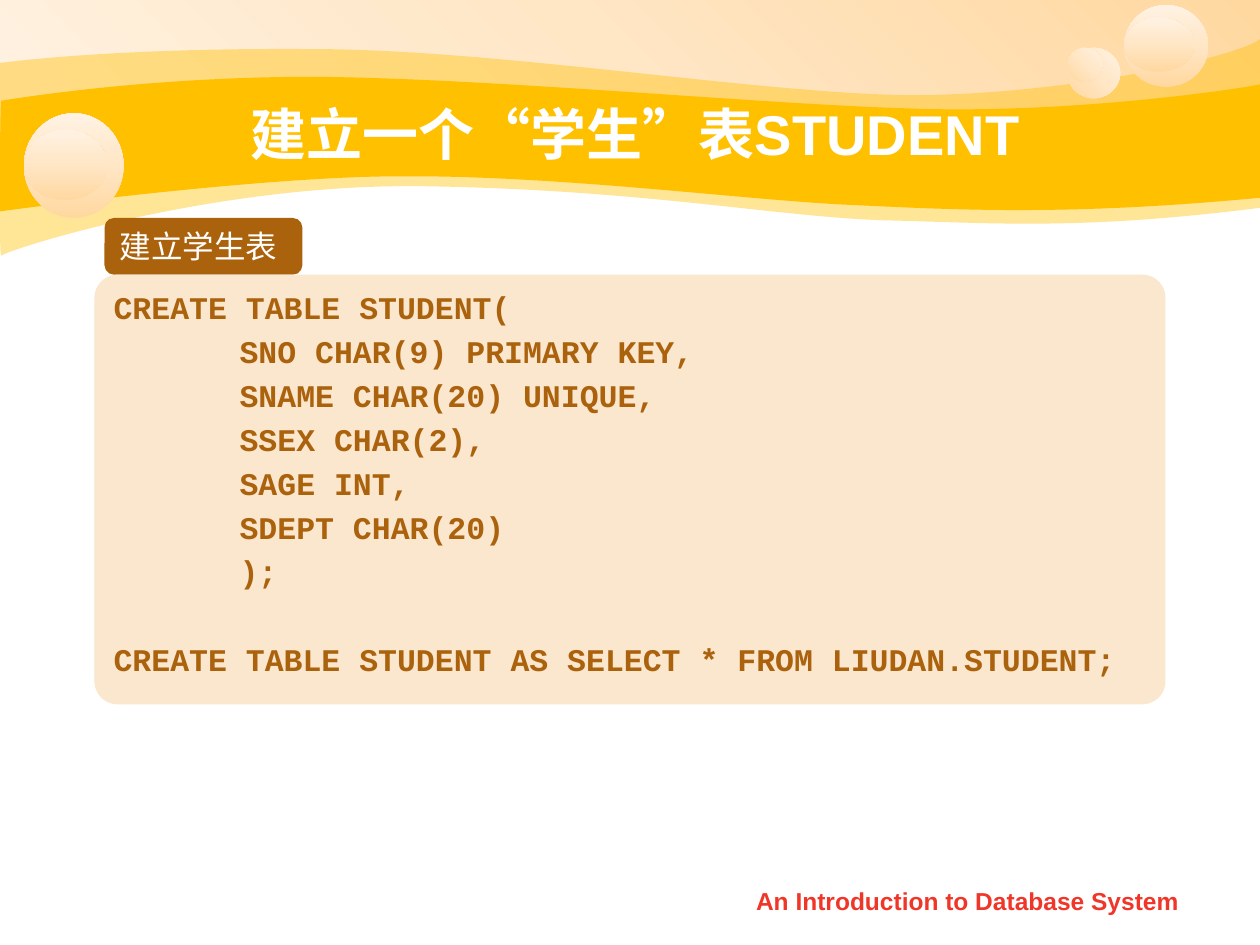
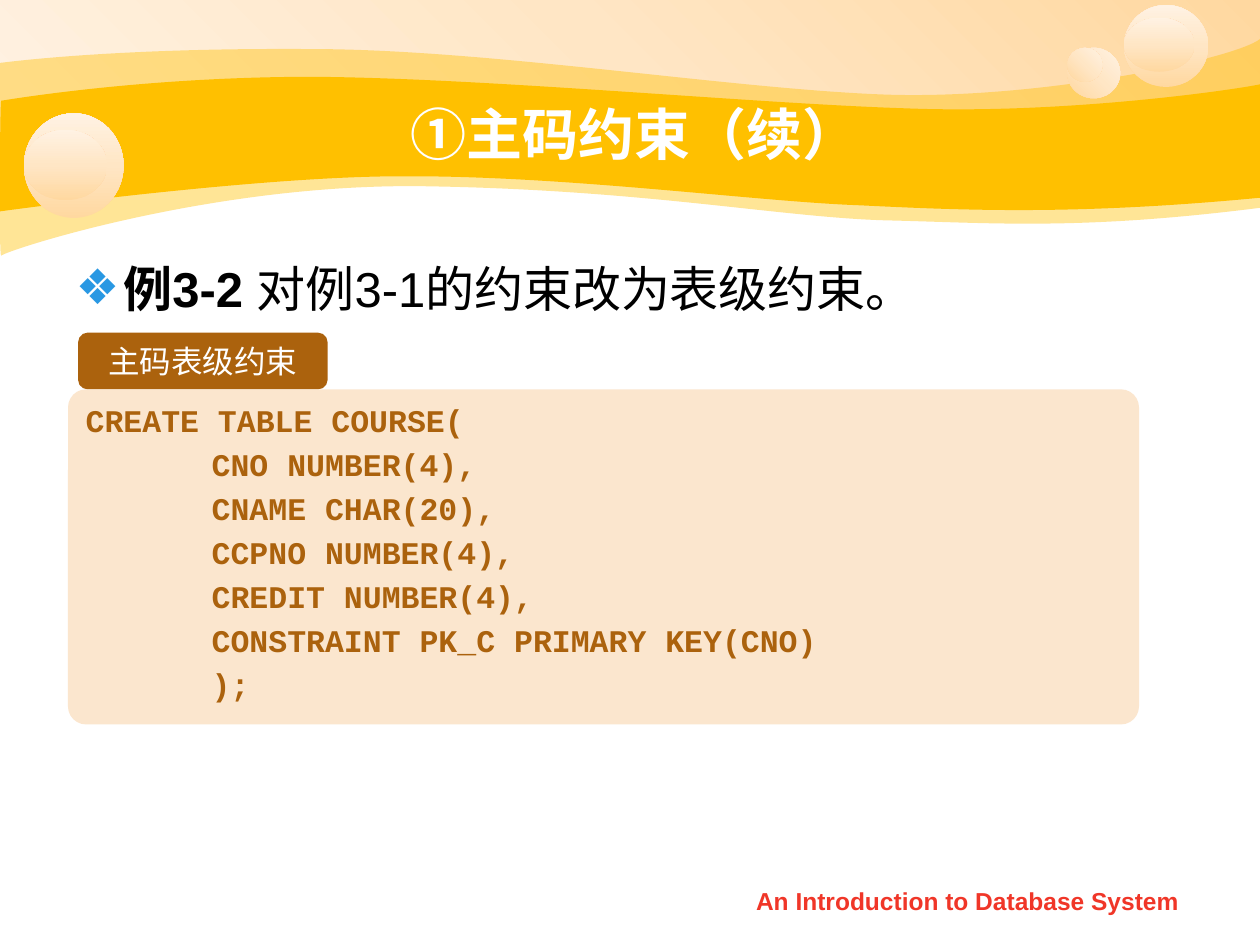
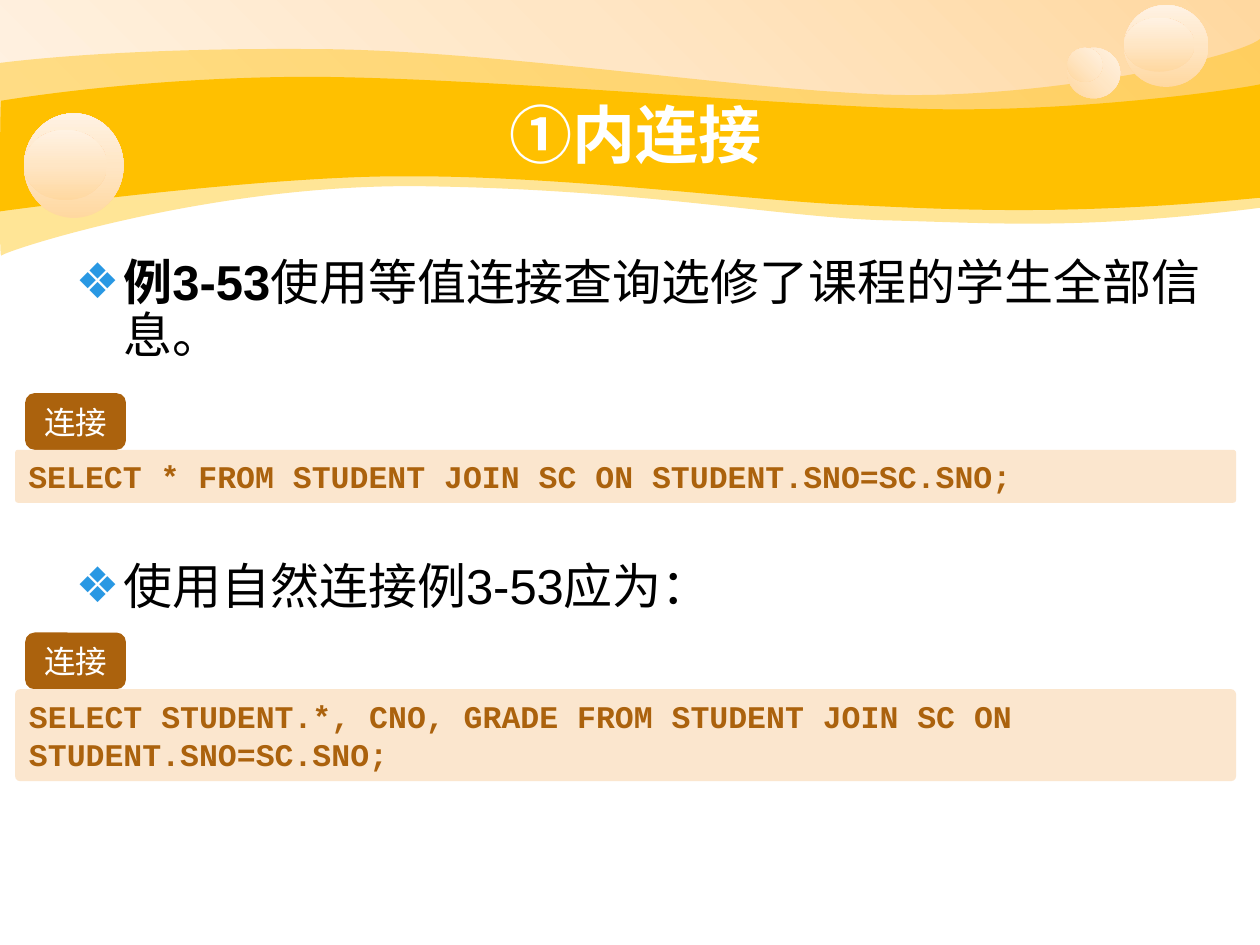
import copy

import pptx
import pptx.dml.color
import pptx.enum.shapes
import pptx.enum.text
import pptx.oxml
import pptx.oxml.ns
import pptx.util

Inches, Pt = pptx.util.Inches, pptx.util.Pt
qn = pptx.oxml.ns.qn
SHAPE = pptx.enum.shapes.MSO_SHAPE
ALIGN = pptx.enum.text.PP_ALIGN
ANCHOR = pptx.enum.text.MSO_ANCHOR

# Shared look
GOLD, WHITE, BLACK, RED = "FFC000", "FFFFFF", "000000", "F03628"
BROWN, CREAM, BULLET_BLUE = "AB620D", "FBE6CE", "2998E3"
PEACH = [(0, "FFD8A0"), (0.5, "FFE6C5"), (1, "FFF2E3")]
FOOTER = "An Introduction to Database System"
TAB_HEIGHT, TAB_INSET = 0.45, 0.08
CODE_INDENT = 1
CODE_GAP, CODE_LINE = 3.6, 25.2  # points

# Waves: start point, then segments of one point (line) or three (curve)
PALE_WAVE = [
    (0, 0.5),
    [(0.24, 0.47), (1.07, 0.38), (2.47, 0.39)],
    [(3.86, 0.39), (5.75, 0.7), (6.99, 0.75)],
    [(8.22, 0.8), (9.8, 0.47), (10, 0.31)],
    [(10, 1.65)],
    [(8.58, 1.83), (7.88, 1.77), (7.05, 1.75)],
    [(6.22, 1.73), (5.15, 1.51), (3.43, 1.48)],
    [(1.72, 1.44), (0.04, 1.99), (0.01, 2.03)],
    [(-0.01, 2.08), (0, 0.75), (0, 0.5)],
]
GOLD_WAVE = [
    (0.01, 0.8),
    [(0.02, 0.8), (1.1, 0.61), (2.48, 0.61)],
    [(3.86, 0.62), (5.95, 0.82), (7.18, 0.86)],
    [(8.41, 0.91), (9.76, 0.72), (10, 0.67)],
    [(10, 1.57)],
    [(8.53, 1.71), (7.65, 1.67), (6.82, 1.63)],
    [(5.99, 1.6), (4.47, 1.39), (3.17, 1.4)],
    [(2.03, 1.4), (-0.02, 1.68), (-0.01, 1.68)],
    [(0, 1.68), (0, 0.8), (0.01, 0.8)],
]
# Bubbles: box, clockwise gradient angle
BUBBLES = [
    ((8.47, 0.38, 0.42, 0.4), 315), ((8.47, 0.38, 0.28, 0.27), 315),
    ((8.92, 0.04, 0.67, 0.65), 270), ((8.92, 0.14, 0.56, 0.43), 270),
    ((0.19, 0.9, 0.79, 0.83), 270), ((0.19, 1.03, 0.66, 0.56), 270),
]

# Slide content; bullets are (bold part, plain part, points before),
# and an empty code line stands for a gap
SLIDES = [
    {
        "title": "建立一个“学生”表STUDENT", "title_size": 32, "footer": True,
        "listings": [{
            "tab": "建立学生表", "tab_width": 1.57, "tab_align": ALIGN.LEFT,
            "box": (0.75, 2.18, 8.5, 3.41),
            "code": [
                "CREATE TABLE STUDENT(",
                "\tSNO CHAR(9) PRIMARY KEY,",
                "\tSNAME CHAR(20) UNIQUE,",
                "\tSSEX CHAR(2),",
                "\tSAGE INT,",
                "\tSDEPT CHAR(20)",
                "\t);",
                "",
                "CREATE TABLE STUDENT AS SELECT * FROM LIUDAN.STUDENT;",
            ],
        }],
    },
    {
        "title": "①主码约束（续）", "title_size": 32, "footer": True,
        "body_width": 9, "line_spacing": 1,
        "bullets": [("例3-2 ", "对例3-1的约束改为表级约束。", None)],
        "listings": [{
            "tab": "主码表级约束", "tab_width": 1.98, "tab_align": ALIGN.CENTER,
            "box": (0.54, 3.09, 8.5, 2.66),
            "code": [
                "CREATE TABLE COURSE(",
                "\tCNO NUMBER(4),",
                "\tCNAME CHAR(20),",
                "\tCCPNO NUMBER(4),",
                "\tCREDIT NUMBER(4),",
                "\tCONSTRAINT PK_C PRIMARY KEY(CNO)",
                "\t);",
            ],
        }],
    },
    {
        "title": "①内连接", "title_size": 36, "footer": False,
        "body_width": 9.23, "line_spacing": 0.9,
        "bullets": [
            ("例3-53", "使用等值连接查询选修了课程的学生全部信息。", None),
            ("", "使用自然连接例3-53应为：", 113),
        ],
        "listings": [
            {
                "tab": "连接", "tab_width": 0.8, "tab_align": ALIGN.CENTER,
                "box": (0.12, 3.57, 9.69, 0.42),
                "code": ["SELECT * FROM STUDENT JOIN SC ON STUDENT.SNO=SC.SNO;"],
            },
            {
                "tab": "连接", "tab_width": 0.8, "tab_align": ALIGN.CENTER,
                "box": (0.12, 5.47, 9.69, 0.73),
                "code": ["SELECT STUDENT.*, CNO, GRADE FROM STUDENT JOIN SC ON "
                         "\tSTUDENT.SNO=SC.SNO;"],
            },
        ],
    },
]


def rgb(color):
    return pptx.dml.color.RGBColor.from_string(color)


def place(part, box):
    part.left, part.top, part.width, part.height = map(Inches, box)


def style(paragraph, size, color, font="Arial", bold=False):
    for run in paragraph.runs:
        run.font.size, run.font.name, run.font.bold = Pt(size), font, bold
        run.font.color.rgb = rgb(color)


def sub(parent, tag, **attributes):
    child = pptx.oxml.parse_xml(f"<a:{tag} {pptx.oxml.ns.nsdecls('a')}/>")
    for name, value in attributes.items():
        child.set(name, value)
    parent.append(child)
    return child


def plain(shape, color=None):
    shape.shadow.inherit = False
    shape.line.fill.background()
    if color:
        shape.fill.solid()
        shape.fill.fore_color.rgb = rgb(color)
    return shape


def add_box(slide, kind, box, color=None):
    return plain(slide.shapes.add_shape(kind, *map(Inches, box)), color)


# Background art
def add_gradient(slide, kind, box, angle):
    shape = add_box(slide, kind, box)
    shape.fill.gradient()
    shape.fill.gradient_angle = 360 - angle
    stops = shape.element.spPr.find(".//" + qn("a:gsLst"))
    stops.insert(1, copy.deepcopy(stops[0]))
    for stop, (position, color) in zip(shape.fill.gradient_stops, PEACH):
        stop.position = position
        stop.color.rgb = rgb(color)
    return shape


def add_wave(slide, wave):
    """Outline the control points, then turn each group of three into a curve."""
    start, *segments = wave
    outline = slide.shapes.build_freeform(*map(Inches, start))
    outline.add_line_segments(
        [tuple(map(Inches, point)) for segment in segments for point in segment])
    shape = plain(outline.convert_to_shape(), GOLD)
    lines = iter(shape.element.spPr.findall(".//" + qn("a:lnTo")))
    for segment in segments:
        first = next(lines)
        if len(segment) == 3:
            first.tag = qn("a:cubicBezTo")
            for line in (next(lines), next(lines)):
                first.append(line[0])
                line.getparent().remove(line)
    sub(first.getparent(), "close")
    return shape


def decorate(layout, slide):
    """Draw the art on the slide, then move it behind the layout's placeholders."""
    sky = add_gradient(slide, SHAPE.RECTANGLE, (0, 0, 10, 1.15), 135)
    pale = add_wave(slide, PALE_WAVE)
    sub(pale.element.spPr.find(".//" + qn("a:srgbClr")), "alpha", val="41000")
    art = [sky, pale, add_wave(slide, GOLD_WAVE)]
    art += [add_gradient(slide, SHAPE.OVAL, box, angle) for box, angle in BUBBLES]
    tree = layout.placeholders[0].element.getparent()
    for index, part in enumerate(art):
        part.element.nvSpPr.cNvPr.set("id", str(100 + index))
        tree.insert(2 + index, part.element)


# Slide parts
def set_title(title, text, size):
    place(title, (1, 0.75, 8.08, 0.62))
    frame = title.text_frame
    frame.text = text
    frame.auto_size = pptx.enum.text.MSO_AUTO_SIZE.NONE
    frame.vertical_anchor = ANCHOR.MIDDLE
    frame.paragraphs[0].alignment = ALIGN.CENTER
    style(frame.paragraphs[0], size, WHITE, bold=True)


def set_bullets(body, bullets, width, line_spacing):
    place(body, (0.5, 2, width, 4.92))
    frame = body.text_frame
    frame.auto_size = pptx.enum.text.MSO_AUTO_SIZE.NONE
    for index, (lead, rest, before) in enumerate(bullets):
        paragraph = frame.add_paragraph() if index else frame.paragraphs[0]
        for text in filter(None, (lead, rest)):
            paragraph.add_run().text = text
        style(paragraph, 28, BLACK)
        paragraph.runs[0].font.bold = bool(lead)
        paragraph.line_spacing = line_spacing
        if before:
            paragraph.space_before = Pt(before)
        properties = paragraph._p.get_or_add_pPr()
        properties.set("marL", str(Inches(0.38)))
        properties.set("indent", str(-Inches(0.38)))
        sub(sub(properties, "buClr"), "srgbClr", val=BULLET_BLUE)
        sub(properties, "buChar", char="❖")


def add_listing(slide, tab, tab_width, tab_align, box, code):
    left, top = box[:2]
    label = add_box(slide, SHAPE.ROUNDED_RECTANGLE,
                    (left + TAB_INSET, top - TAB_HEIGHT, tab_width, TAB_HEIGHT), BROWN)
    label.text_frame.text = tab
    label.text_frame.vertical_anchor = ANCHOR.MIDDLE
    label.text_frame.paragraphs[0].alignment = tab_align
    style(label.text_frame.paragraphs[0], 18, WHITE, "DejaVu Sans Mono")

    panel = add_box(slide, SHAPE.ROUNDED_RECTANGLE, box, CREAM)
    panel.adjustments[0] = 0.054
    frame = panel.text_frame
    frame.vertical_anchor = ANCHOR.TOP
    frame.text = "\n".join(line for line in code if line)
    gaps = [CODE_GAP + (CODE_LINE if i and not code[i - 1] else 0)
            for i, line in enumerate(code) if line]
    for paragraph, gap in zip(frame.paragraphs, gaps):
        paragraph.alignment = ALIGN.LEFT
        paragraph.space_before = Pt(gap)
        style(paragraph, 18, BROWN, "Courier New", bold=True)
        if paragraph.text.startswith("\t"):
            stops = sub(paragraph._p.get_or_add_pPr(), "tabLst")
            sub(stops, "tab", pos=str(Inches(CODE_INDENT)), algn="l")


def add_footer(slide):
    footer = slide.shapes.add_textbox(*map(Inches, (5.71, 6.98, 3.94, 0.35)))
    footer.text_frame.word_wrap = True
    footer.text_frame.text = FOOTER
    footer.text_frame.paragraphs[0].alignment = ALIGN.CENTER
    style(footer.text_frame.paragraphs[0], 14, RED, bold=True)


def main():
    deck = pptx.Presentation()
    deck.slide_width, deck.slide_height = Inches(10), Inches(7.5)
    layout = deck.slide_layouts[1]
    for index, content in enumerate(SLIDES):
        slide = deck.slides.add_slide(layout)
        if index == 0:
            decorate(layout, slide)
        set_title(slide.shapes.title, content["title"], content["title_size"])
        body = slide.placeholders[1]
        if "bullets" in content:
            set_bullets(body, content["bullets"], content["body_width"],
                        content["line_spacing"])
        else:
            body.element.getparent().remove(body.element)
        for listing in content["listings"]:
            add_listing(slide, **listing)
        if content["footer"]:
            add_footer(slide)
    deck.save("out.pptx")


if __name__ == "__main__":
    main()
